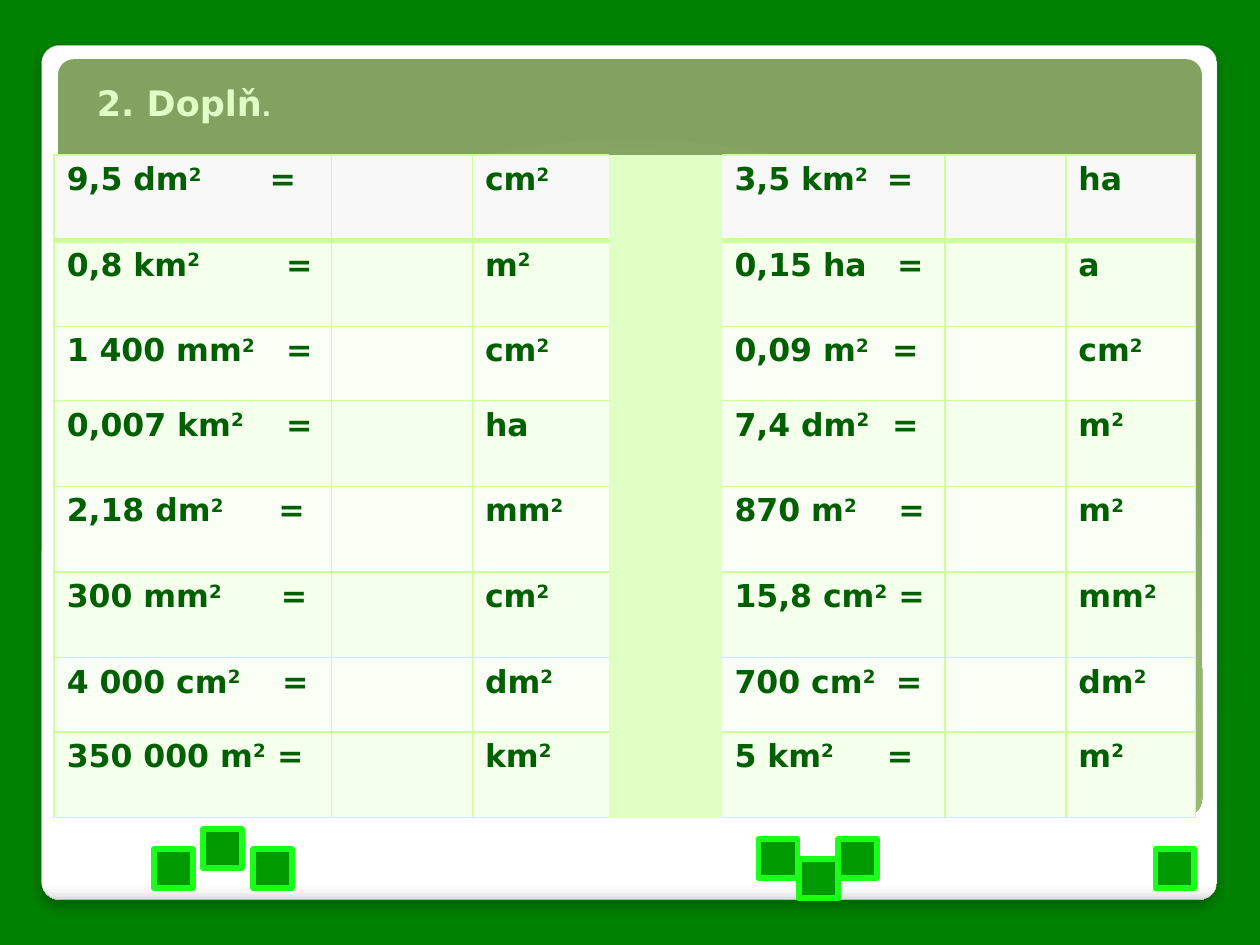
"""Builds a slide of area unit conversions to fill in."""
import lxml.etree
import pptx
import pptx.dml.color
import pptx.enum.shapes
import pptx.enum.text
import pptx.oxml
import pptx.oxml.ns
import pptx.util

BORDER, TEXT, GAP = "CCFF99", "006000", "DFFFC5"
HEADER, ODD, EVEN = "F8F8F8", "F4FFEC", "FAFFF6"
FONT = "DejaVu Sans"
SUPERSCRIPT = "²"

# Each side: quantity, position of the equals sign, target unit
EXERCISES = [
    (("9,5 dm²", 1.61, "cm²"), ("3,5 km²", 1.21, "ha")),
    (("0,8 km²", 1.74, "m²"), ("0,15 ha", 1.29, "a")),
    (("1 400 mm²", 1.74, "cm²"), ("0,09 m²", 1.25, "cm²")),
    (("0,007 km²", 1.74, "ha"), ("7,4 dm²", 1.25, "m²")),
    (("2,18 dm²", 1.68, "mm²"), ("870 m²", 1.3, "m²")),
    (("300 mm²", 1.7, "cm²"), ("15,8 cm²", 1.3, "mm²")),
    (("4 000 cm²", 1.71, "dm²"), ("700 cm²", 1.28, "dm²")),
    (("350 000 m²", 1.67, "km²"), ("5 km²", 1.21, "m²")),
]
COLUMNS = [2.2, 1.12, 1.08, 0.9, 1.77, 0.96, 1.03]
TALL, SHORT = 0.68, 0.59
SHORT_ROWS = (2, 6)
GAP_COLUMN = 3
SQUARE = 0.31
SQUARES = [(1.22, 6.74), (1.61, 6.58), (2.01, 6.74),
           (6.02, 6.66), (6.34, 6.82), (6.65, 6.66), (9.17, 6.74)]

PANEL_STOPS = [(0, "FFFFFF"), (98, "FFFFFF"), (99, "F7F7F7"), (100, "DADADA")]
PANEL_SHADE = '<a:lin ang="5400000" scaled="0"/>'
BAND_STOPS = [(0, "DAFFBA"), (55, "B4E187"), (100, "81A261")]
BAND_SHADE = ('<a:path path="circle"><a:fillToRect l="50000" t="175000" '
              'r="50000" b="-75000"/></a:path>')
PANEL_SHADOW = ('<a:outerShdw blurRad="76200" dist="50800" dir="5400000" algn="t" '
                'rotWithShape="0"><a:srgbClr val="000000"><a:alpha val="25000"/>'
                '</a:srgbClr></a:outerShdw>')

inches = pptx.util.Inches


def rgb(value):
    return pptx.dml.color.RGBColor.from_string(value)


def element(tag, inner, attributes=""):
    namespace = pptx.oxml.ns.nsdecls("a")
    return pptx.oxml.parse_xml(f"<a:{tag} {namespace} {attributes}>{inner}</a:{tag}>")


def paint(target, color):
    target.fill.solid()
    target.fill.fore_color.rgb = rgb(color)


def style(font, size, color):
    font.name, font.size, font.bold = FONT, pptx.util.Pt(size), True
    font.color.rgb = rgb(color)


def add_box(slide, preset, left, top, width, height, line=None, weight=0):
    box = slide.shapes.add_shape(preset, *map(inches, (left, top, width, height)))
    box.shadow.inherit = False
    if line:
        box.line.color.rgb = rgb(line)
        box.line.width = pptx.util.Pt(weight)
    else:
        box.line.fill.background()
    return box


def add_rounded(slide, bounds, stops, shade, line=None, weight=0):
    box = add_box(slide, pptx.enum.shapes.MSO_SHAPE.ROUNDED_RECTANGLE, *bounds, line, weight)
    box.adjustments[0] = 0.021
    colors = "".join(f'<a:gs pos="{pos * 1000}"><a:srgbClr val="{color}"/></a:gs>'
                     for pos, color in stops)
    gradient = element("gradFill", f"<a:gsLst>{colors}</a:gsLst>{shade}", 'rotWithShape="1"')
    box._element.spPr.find(pptx.oxml.ns.qn("a:prstGeom")).addnext(gradient)
    return box


def write_units(cell, text, tab=None):
    paragraph = cell.text_frame.paragraphs[0]
    if tab:
        stop = f'<a:tab pos="{inches(tab)}" algn="l"/>'
        paragraph._p.get_or_add_pPr().append(element("tabLst", stop))
        text += "\t="
    style(paragraph.font, 18, TEXT)
    base, raised, rest = text.partition(SUPERSCRIPT)
    paragraph.add_run().text = base
    if raised:
        power = paragraph.add_run()
        power.text = "2"
        power._r.get_or_add_rPr().set("baseline", "30000")
    if rest:
        paragraph.add_run().text = rest


def set_borders(cell, row, column):
    weights = {
        "L": 0 if column in (GAP_COLUMN, GAP_COLUMN + 1) else 1,
        "R": 0 if column in (GAP_COLUMN - 1, GAP_COLUMN) else 1,
        "T": 0 if column == GAP_COLUMN else 3 if row == 1 else 1,
        "B": 0 if column == GAP_COLUMN else 3 if row == 0 else 1,
    }
    for side, weight in weights.items():
        fill = (f'<a:solidFill><a:srgbClr val="{BORDER}"/></a:solidFill>'
                if weight else "<a:noFill/>")
        cell._tc.get_or_add_tcPr().append(
            element(f"ln{side}", fill, f'w="{pptx.util.Pt(weight)}"'))


def add_exercises(slide):
    heights = [SHORT if row in SHORT_ROWS else TALL for row in range(len(EXERCISES))]
    frame = slide.shapes.add_table(
        len(heights), len(COLUMNS), inches(0.43), inches(1.23),
        inches(sum(COLUMNS)), inches(sum(heights)))
    table = frame.table
    table._tbl.tblPr.find(pptx.oxml.ns.qn("a:tableStyleId")).text = (
        "{2D5ABB26-0587-4C30-8999-92F81FD0307C}")
    for column, width in zip(table.columns, COLUMNS):
        column.width = inches(width)
    for row, (sides, height) in enumerate(zip(EXERCISES, heights)):
        table.rows[row].height = inches(height)
        shade = HEADER if row == 0 else ODD if row % 2 else EVEN
        for column in range(len(COLUMNS)):
            cell = table.cell(row, column)
            set_borders(cell, row, column)
            paint(cell, GAP if column == GAP_COLUMN else shade)
        for first, (quantity, tab, unit) in zip((0, GAP_COLUMN + 1), sides):
            write_units(table.cell(row, first), quantity, tab)
            write_units(table.cell(row, first + 2), unit)
    table.cell(0, GAP_COLUMN).merge(table.cell(len(heights) - 1, GAP_COLUMN))


def add_title(slide):
    title = slide.shapes.add_textbox(*map(inches, (0.67, 0.6, 1.59, 0.44)))
    title.text_frame.word_wrap = False
    title.text_frame.auto_size = pptx.enum.text.MSO_AUTO_SIZE.SHAPE_TO_FIT_TEXT
    paragraph = title.text_frame.paragraphs[0]
    style(paragraph.font, 20, GAP)
    paragraph.add_run().text = "2. Doplň"
    stop = paragraph.add_run()
    stop.text = "."
    stop.font.name, stop.font.size = "Arial", pptx.util.Pt(18)


def main():
    deck = pptx.Presentation()
    deck.slide_width, deck.slide_height = inches(10), inches(7.5)
    slide = deck.slides.add_slide(deck.slide_layouts[6])
    paint(slide.background, "008000")
    panel = add_rounded(slide, (0.33, 0.36, 9.33, 6.78), PANEL_STOPS, PANEL_SHADE,
                        "A4A4A4", 0.16)
    effects = panel._element.spPr.find(pptx.oxml.ns.qn("a:effectLst"))
    effects.append(lxml.etree.fromstring(lxml.etree.tostring(
        element("effectLst", PANEL_SHADOW)))[0])
    add_rounded(slide, (0.46, 0.47, 9.08, 6), BAND_STOPS, BAND_SHADE)
    add_exercises(slide)
    add_title(slide)
    for left, top in SQUARES:
        square = add_box(slide, pptx.enum.shapes.MSO_SHAPE.RECTANGLE, left, top,
                         SQUARE, SQUARE, "1AFF1A", 3.35)
        paint(square, "009900")
    deck.save("out.pptx")


if __name__ == "__main__":
    main()
